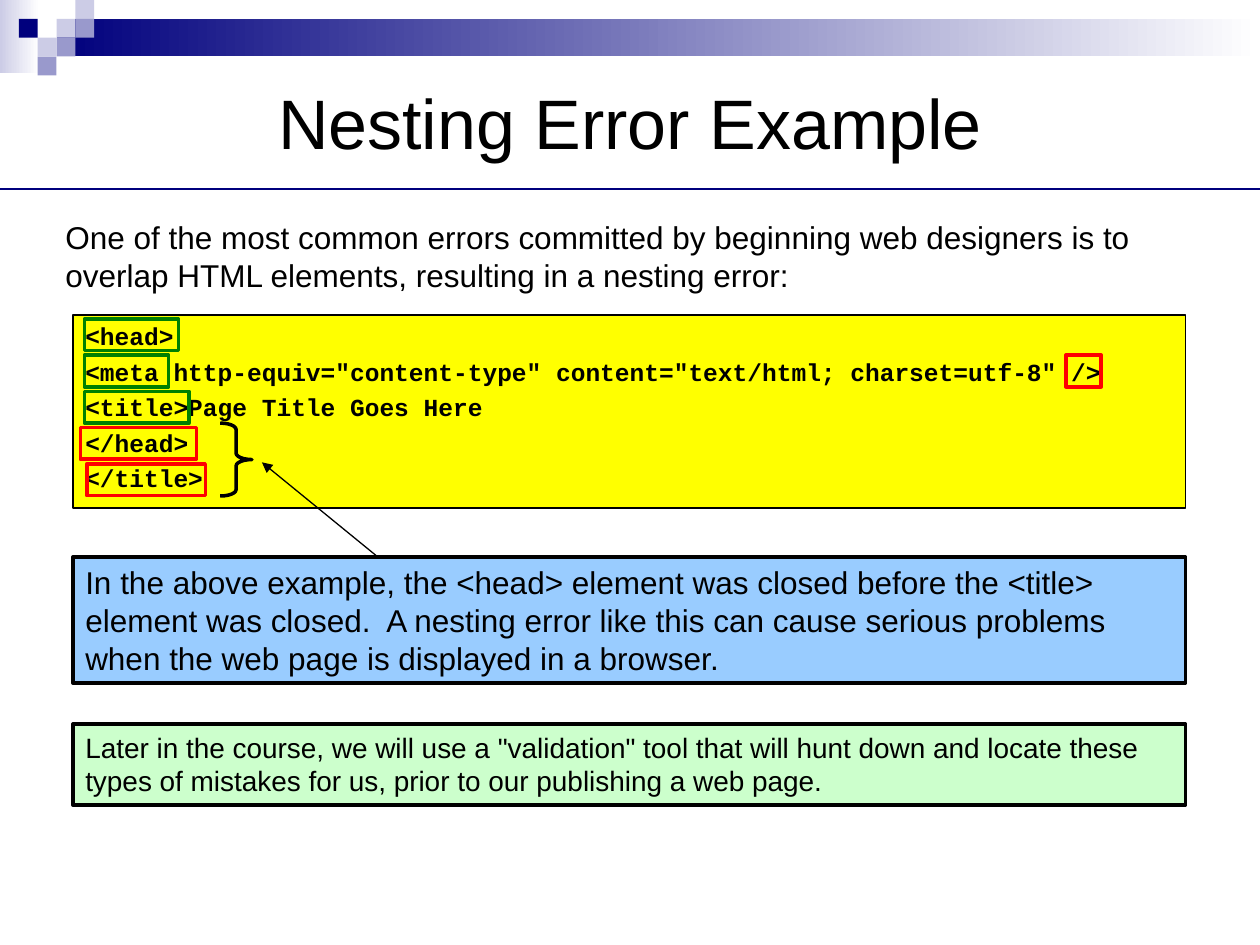
from pptx import Presentation
from pptx.dml.color import RGBColor
from pptx.enum.shapes import MSO_CONNECTOR, MSO_SHAPE
from pptx.enum.text import MSO_ANCHOR, PP_ALIGN
from pptx.oxml.ns import qn
from pptx.util import Cm, Pt
from lxml import etree

RECTANGLE, BRACE = MSO_SHAPE.RECTANGLE, MSO_SHAPE.RIGHT_BRACE
STRAIGHT = MSO_CONNECTOR.STRAIGHT
TOP, MIDDLE = MSO_ANCHOR.TOP, MSO_ANCHOR.MIDDLE
LEFT, CENTER = PP_ALIGN.LEFT, PP_ALIGN.CENTER

COLORS = {
    "black": "000000", "white": "FFFFFF", "navy": "00007D",
    "lavender": "9999CC", "pale": "CCCCE6", "yellow": "FFFF00",
    "blue": "99CCFF", "mint": "CCFFCC", "red": "FF0000", "green": "008000",
}
CODE = [
    "<head>",
    '<meta http-equiv="content-type" content="text/html; charset=utf-8" />',
    "<title>Page Title Goes Here",
    "</head>",
    "</title>",
]
TAG_MARKS = [
    (0, 0.23, 1.9, "green"), (1, 0.23, 1.7, "green"), (2, 0.23, 2.11, "green"),
    (3, 0.15, 2.34, "red"), (4, 0.28, 2.39, "red"), (1, 20.02, 0.71, "red"),
]
SQUARES = [
    (3, 1, "pale"), (4, 0, "pale"), (4, 1, "lavender"), (2, 2, "pale"),
    (1, 1, "navy"), (3, 2, "lavender"), (2, 3, "lavender"),
]
INTRO = ("One of the most common errors committed by beginning web designers is to "
         "overlap HTML elements, resulting in a nesting error:")
EXPLANATION = ("In the above example, the <head> element was closed before the <title> "
               "element was closed.  A nesting error like this can cause serious problems "
               "when the web page is displayed in a browser.")
OUTLOOK = ('Later in the course, we will use a "validation" tool that will hunt down and '
           "locate these types of mistakes for us, prior to our publishing a web page.")


def rgb(name):
    """Return the named colour."""
    return RGBColor.from_string(COLORS[name])


def add_shape(page, box, fill=None, line=None, width=2, kind=RECTANGLE):
    """Add a shape with an optional fill, a two-colour gradient or an outline."""
    shape = page.shapes.add_shape(kind, *map(Cm, box))
    shape.shadow.inherit = False
    if isinstance(fill, tuple):
        shape.fill.gradient()
        shape.fill.gradient_angle = 0
        for stop, name in zip(shape.fill.gradient_stops, fill):
            stop.color.rgb = rgb(name)
    elif fill:
        shape.fill.solid()
        shape.fill.fore_color.rgb = rgb(fill)
    else:
        shape.fill.background()
    if line:
        shape.line.color.rgb = rgb(line)
        shape.line.width = Pt(width)
    else:
        shape.line.fill.background()
    return shape


def add_line(page, start, end, color, width, arrow=False):
    """Add a straight line, with an arrowhead at its end if wanted."""
    line = page.shapes.add_connector(STRAIGHT, *map(Cm, (*start, *end)))
    line.line.color.rgb = rgb(color)
    line.line.width = Pt(width)
    if arrow:
        etree.SubElement(line.line._get_or_add_ln(), qn("a:tailEnd"), type="triangle")
    etree.SubElement(line._element.spPr, qn("a:effectLst"))


def write(shape, lines, size, font="Arial", bold=False, anchor=TOP, **spacing):
    """Write one paragraph for each line of text."""
    frame = shape.text_frame
    frame.word_wrap = True
    frame.vertical_anchor = anchor
    for index, line in enumerate(lines):
        para = frame.paragraphs[0] if index == 0 else frame.add_paragraph()
        for name, value in {"alignment": LEFT, **spacing}.items():
            setattr(para, name, value)
        span = para.add_run()
        span.text = line
        for name, value in {"name": font, "size": Pt(size), "bold": bold}.items():
            setattr(span.font, name, value)
        span.font.color.rgb = rgb("black")


def add_banner(page, box):
    """Draw the gradient bars and the grid of small squares."""
    left, top, width, height = box
    cell = 0.38
    add_shape(page, (left, top, 0.79, height), ("pale", "white"))
    add_shape(page, (left + 3 * cell, top + cell, width - 3 * cell, 2 * cell),
              ("navy", "white"))
    for column, row, color in SQUARES:
        add_shape(page, (left + column * cell, top + row * cell, cell, cell), color)


def add_text(page, box, text, size, **options):
    """Add a plain text box."""
    write(page.shapes.add_textbox(*map(Cm, box)), [text], size, **options)


def add_note(page, box, text, size, fill):
    """Add a filled and outlined note."""
    write(add_shape(page, box, fill, "black"), [text], size,
          space_before=Pt(6), space_after=Pt(6))


def add_code(page, box):
    """Draw the code panel with its marked tags, brace and arrow."""
    left, top = box[:2]
    row_height = 0.73
    panel = add_shape(page, box, "yellow", "black", 0.75)
    write(panel, CODE, 14, "Courier New", True, space_before=Pt(3.5))
    for row, offset, width, color in TAG_MARKS:
        add_shape(page, (left + offset, top + 0.08 + row * row_height, width, 0.64),
                  line=color)
    brace = add_shape(page, (left + 2.97, top + 2.18, 0.64, 1.47),
                      line="black", kind=BRACE)
    brace.adjustments[0] = 0.2
    add_line(page, (left + 6.15, top + 4.88), (left + 3.81, top + 2.97),
             "black", 0.75, arrow=True)


def main():
    """Build and save the slide."""
    deck = Presentation()
    deck.slide_width, deck.slide_height = Cm(25.4), Cm(19.05)
    page = deck.slides.add_slide(deck.slide_layouts[6])
    add_banner(page, (0, 0, 25.4, 1.47))
    add_text(page, (1.27, 1.07, 22.86, 2.74), "Nesting Error Example", 40,
             anchor=MIDDLE, alignment=CENTER)
    add_line(page, (0, 3.81), (25.4, 3.81), "navy", 1.25)
    add_text(page, (1.07, 4.27, 22.81, 1.78), INTRO, 18)
    add_note(page, (1.47, 11.23, 22.43, 2.54), EXPLANATION, 18, "blue")
    add_note(page, (1.47, 14.6, 22.43, 1.63), OUTLOOK, 16, "mint")
    add_code(page, (1.47, 6.35, 22.43, 3.89))
    deck.save("out.pptx")


if __name__ == "__main__":
    main()
